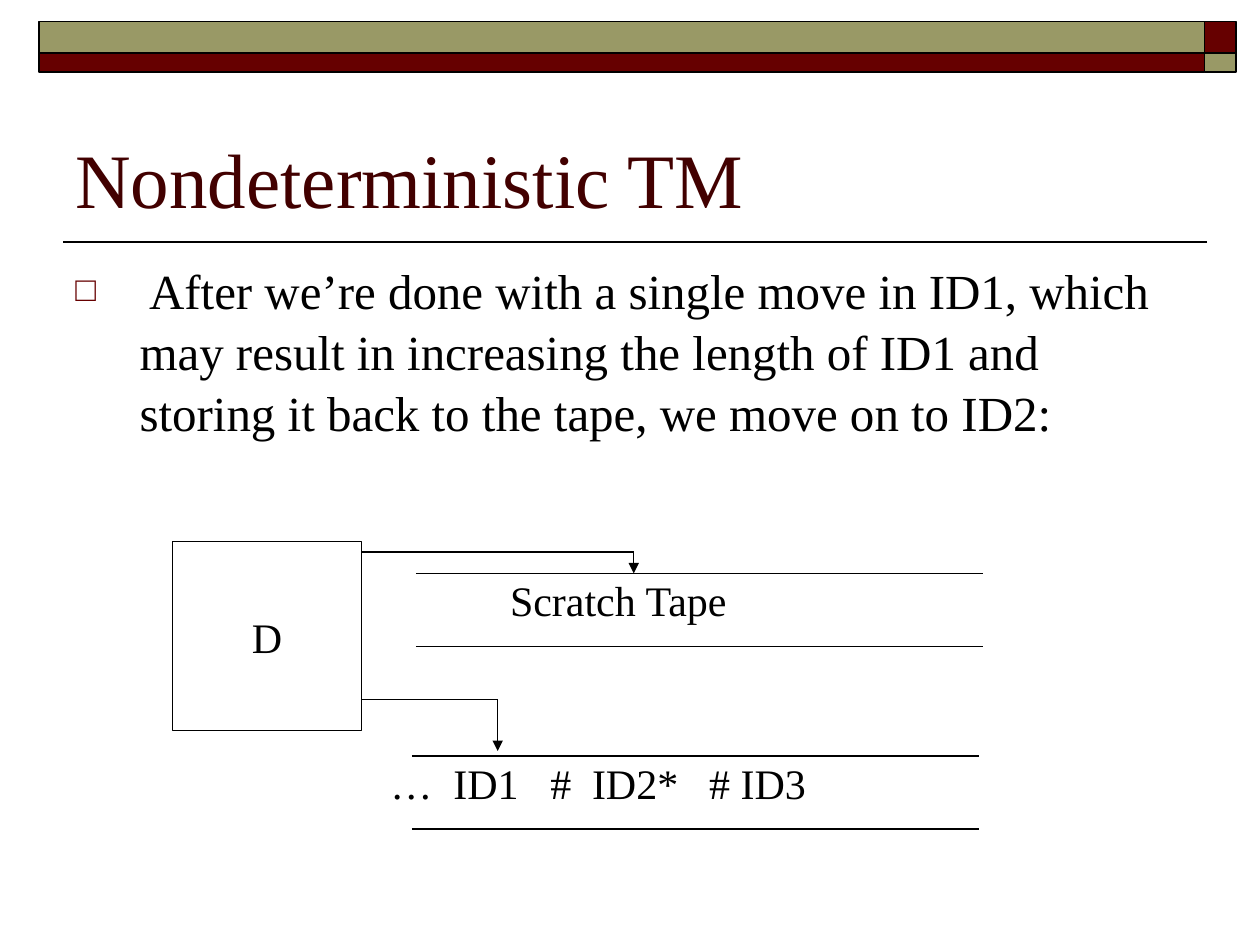
from dataclasses import dataclass
from typing import Optional

from lxml import etree
from pptx import Presentation
from pptx import util as u
from pptx.dml.color import RGBColor
from pptx.enum import shapes, text
from pptx.oxml.ns import qn

WINE = RGBColor(0x66, 0x00, 0x00)
DARK = RGBColor(0x42, 0x00, 0x00)
OLIVE = RGBColor(0x99, 0x99, 0x66)
BLACK = RGBColor(0x00, 0x00, 0x00)
FONT = "Times New Roman"
COLS, ROWS = 100, 75
WIDTH, HEIGHT = u.Inches(10), u.Inches(7.5)


@dataclass
class Box:
    col: float
    row: float
    wide: float
    high: float

    def place(self) -> tuple[int, int, int, int]:
        return across(self.col), down(self.row), across(self.wide), down(self.high)


@dataclass
class Band:
    box: Box
    fill: RGBColor


@dataclass
class Label:
    box: Box
    words: str
    size: int = 24
    color: RGBColor = BLACK
    anchor: text.MSO_ANCHOR = text.MSO_ANCHOR.TOP


@dataclass
class Tape:
    col: float
    row: float
    label: Label
    stops: tuple[float, ...] = ()


@dataclass
class Head:
    row: float
    col: float
    tip: float


SPLIT, EDGE = 95.6, 3.1
BANDS = [
    Band(Box(col, row, wide, high), fill)
    for row, high, fills in ((1.7, 2.5, (OLIVE, WINE)), (4.2, 1.5, (WINE, OLIVE)))
    for col, wide, fill in zip((EDGE, SPLIT), (SPLIT - EDGE, 2.5), fills)
]
TITLE = Label(Box(5, 5.8, 90, 12.5), "Nondeterministic TM", 44, DARK,
              text.MSO_ANCHOR.BOTTOM)
BODY = Label(
    Box(5, 20, 90, 47),
    " After we’re done with a single move in ID1, which may result in "
    "increasing the length of ID1 and storing it back to the tape, "
    "we move on to ID2:",
    28,
)
TAPES = [
    Tape(33, 45.5, Label(Box(39.5, 45.1, 20, 5), "Scratch Tape")),
    Tape(32.7, 60, Label(Box(30, 59.6, 36.8, 5), "…\tID1\t#\tID2*\t# ID3"),
         (5, 12.7, 16, 25.3)),
]
DRIVE = Box(13.7, 43, 15, 15)
HEADS = [Head(43.8, 50.3, 45.5), Head(55.5, 39.5, 59.6)]
LONG, GAP = 45, 5.8


def across(cols: float) -> int:
    return round(WIDTH * cols / COLS)


def down(rows: float) -> int:
    return round(HEIGHT * rows / ROWS)


def rule(slide, start: tuple[float, float], end: tuple[float, float],
         weight: float = 0.75, arrow: bool = False):
    line = slide.shapes.add_connector(
        shapes.MSO_CONNECTOR.STRAIGHT,
        across(start[0]), down(start[1]), across(end[0]), down(end[1]))
    line.line.color.rgb = BLACK
    line.line.width = u.Pt(weight)
    if arrow:
        etree.SubElement(line.line._get_or_add_ln(), qn("a:tailEnd"), type="triangle")
    etree.SubElement(line._element.spPr, qn("a:effectLst"))


def block(slide, box: Box, weight: float, fill: Optional[RGBColor] = None):
    rect = slide.shapes.add_shape(shapes.MSO_SHAPE.RECTANGLE, *box.place())
    rect.shadow.inherit = False
    rect.line.color.rgb = BLACK
    rect.line.width = u.Pt(weight)
    if fill is None:
        rect.fill.background()
    else:
        rect.fill.solid()
        rect.fill.fore_color.rgb = fill
    return rect


def style(para, size: int, color: RGBColor):
    para.font.name = FONT
    para.font.size = u.Pt(size)
    para.font.color.rgb = color


def write(slide, label: Label):
    frame = slide.shapes.add_textbox(*label.box.place()).text_frame
    frame.word_wrap = True
    frame.vertical_anchor = label.anchor
    para = frame.paragraphs[0]
    para.text = label.words
    style(para, label.size, label.color)
    return para


def bullet(para):
    para.line_spacing = 1.04
    para.space_before = u.Pt(2)
    props = para._p.get_or_add_pPr()
    dent = across(5.1)
    props.set("marL", str(dent))
    props.set("indent", str(-dent))
    tint = etree.Element(qn("a:buClr"))
    etree.SubElement(tint, qn("a:srgbClr"), val=str(WINE))
    marks = [
        tint,
        etree.Element(qn("a:buSzPct"), val="70000"),
        etree.Element(qn("a:buFont"), typeface=FONT),
        etree.Element(qn("a:buChar"), char="□"),
    ]
    first = props.find(qn("a:defRPr"))
    for mark in marks:
        first.addprevious(mark)


def tabs(para, stops: tuple[float, ...]):
    stack = etree.Element(qn("a:tabLst"))
    for stop in stops:
        etree.SubElement(stack, qn("a:tab"), pos=str(across(stop)), algn="l")
    para._p.get_or_add_pPr().find(qn("a:defRPr")).addprevious(stack)


def strip(slide, tape: Tape):
    for row in (tape.row, tape.row + GAP):
        rule(slide, (tape.col, row), (tape.col + LONG, row))
    para = write(slide, tape.label)
    if tape.stops:
        tabs(para, tape.stops)


def drive(slide):
    rect = block(slide, DRIVE, 0.75)
    frame = rect.text_frame
    frame.vertical_anchor = text.MSO_ANCHOR.MIDDLE
    para = frame.paragraphs[0]
    para.text = "D"
    para.alignment = text.PP_ALIGN.CENTER
    style(para, 24, BLACK)


def main():
    deck = Presentation()
    deck.slide_width, deck.slide_height = WIDTH, HEIGHT
    slide = deck.slides.add_slide(deck.slide_layouts[6])
    rule(slide, (95.8, 19.2), (5, 19.2), 1)
    for band in BANDS:
        block(slide, band.box, 1, band.fill)
    write(slide, TITLE)
    bullet(write(slide, BODY))
    for tape in TAPES:
        strip(slide, tape)
    drive(slide)
    for head in HEADS:
        turn = (head.col, head.row)
        rule(slide, (DRIVE.col + DRIVE.wide, head.row), turn)
        rule(slide, turn, (head.col, head.tip), arrow=True)
    deck.save("out.pptx")


if __name__ == "__main__":
    main()
